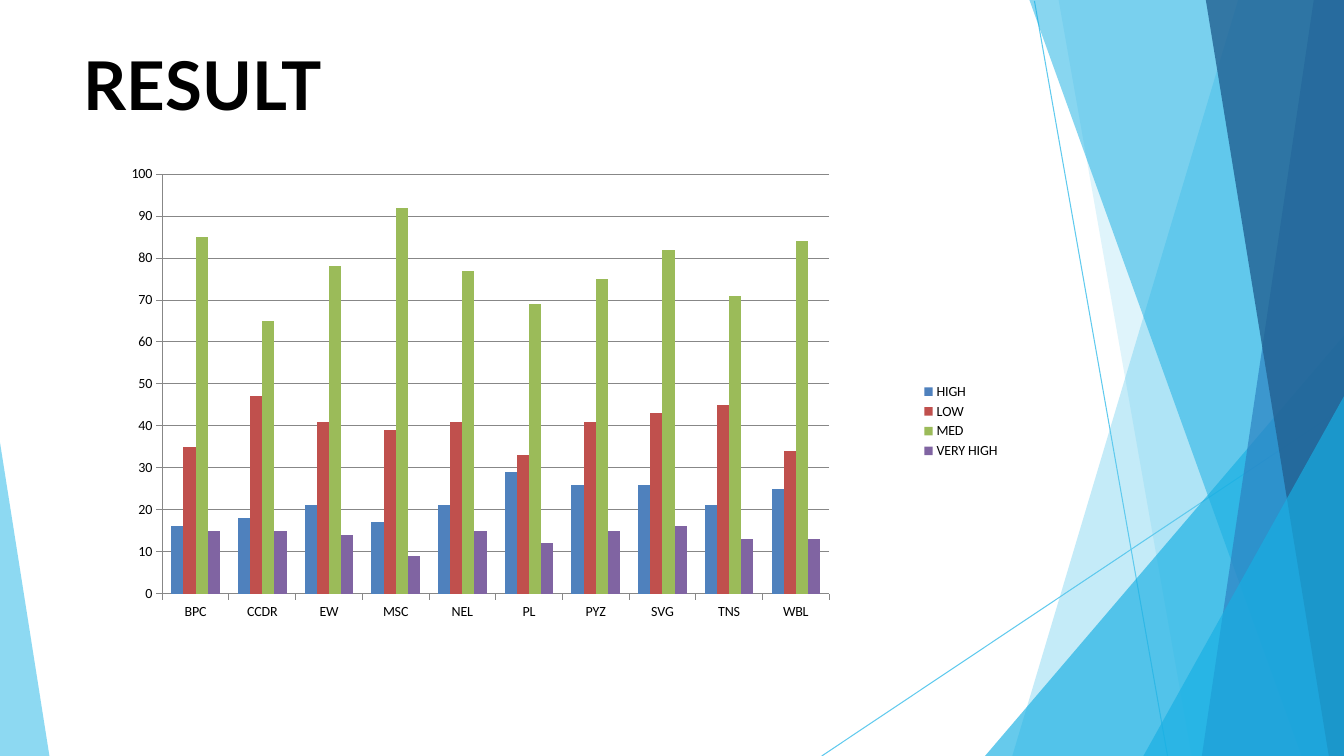
from dataclasses import dataclass

from lxml.etree import SubElement
from pptx import Presentation
from pptx.chart.data import CategoryChartData
from pptx.dml.color import RGBColor
from pptx.enum.chart import XL_CHART_TYPE, XL_LEGEND_POSITION, XL_TICK_MARK
from pptx.enum.shapes import MSO_CONNECTOR
from pptx.enum.text import MSO_ANCHOR
from pptx.oxml import parse_xml
from pptx.oxml.ns import nsdecls, qn
from pptx.util import Emu, Pt

EMU_PER_PX = 9144  # 100 px to the inch
WIDTH, HEIGHT = 1333, 750
SKY, CYAN, BLUE, NAVY = "5FCAEE", "17AFE3", "2D83C3", "226192"
AXIS_GREY = "878787"


@dataclass(frozen=True)
class Ray:
    start: tuple[int, int]
    end: tuple[int, int]


@dataclass(frozen=True)
class Facet:
    points: tuple[tuple[int, int], ...]
    fill: str
    opacity: int


@dataclass(frozen=True)
class Series:
    name: str
    values: tuple[int, ...]
    fill: str


def right_facet(top: int, bottom: int, fill: str, opacity: int) -> Facet:
    """Full-height facet on the right edge, slanting from top x to bottom x."""
    return Facet(((WIDTH, 0), (top, 0), (bottom, HEIGHT), (WIDTH, HEIGHT)), fill, opacity)


def right_corner(top: int, left: int, opacity: int) -> Facet:
    """Triangle in the lower right corner."""
    return Facet(((WIDTH, top), (left, HEIGHT), (WIDTH, HEIGHT)), CYAN, opacity)


RAYS = (
    Ray((1026, 1), (1158, HEIGHT)),
    Ray((WIDTH, 404), (815, HEIGHT)),
)
FACETS = (
    right_facet(1228, 1004, SKY, 37),
    right_facet(1050, 1182, SKY, 20),
    right_corner(333, 977, 66),
    right_facet(1021, 1291, CYAN, 51),
    right_facet(1303, 1192, BLUE, 71),
    right_facet(1196, 1318, NAVY, 80),
    right_corner(393, 1134, 66),
    Facet(((0, 439), (0, HEIGHT), (49, HEIGHT)), SKY, 71),
)
CATEGORIES = ("BPC", "CCDR", "EW", "MSC", "NEL", "PL", "PYZ", "SVG", "TNS", "WBL")
SERIES = (
    Series("HIGH", (16, 18, 21, 17, 21, 29, 26, 26, 21, 25), "4F81BD"),
    Series("LOW", (35, 47, 41, 39, 41, 33, 41, 43, 45, 34), "C0504D"),
    Series("MED", (85, 65, 78, 92, 77, 69, 75, 82, 71, 84), "9BBB59"),
    Series("VERY HIGH", (15, 15, 14, 9, 15, 12, 15, 16, 13, 13), "8064A2"),
)
PLOT_LAYOUT = {"x": 0.11, "y": 0.07, "w": 0.7, "h": 0.73}
LABEL_FONT = {"name": "Calibri", "size": Pt(10), "bold": False}
TITLE_FONT = {"name": "Lato", "size": Pt(48), "bold": True}


def px(length: int) -> Emu:
    return Emu(length * EMU_PER_PX)


def rgb(value: str) -> RGBColor:
    return RGBColor.from_string(value)


def set_attributes(target, values: dict) -> None:
    for name, value in values.items():
        setattr(target, name, value)


def style_font(font, values: dict) -> None:
    set_attributes(font, values)
    font.color.rgb = rgb("000000")


def style_line(line, color: str) -> None:
    line.color.rgb = rgb(color)
    line.width = Pt(0.75)


def draw_ray(page, ray: Ray) -> None:
    connector = page.shapes.add_connector(
        MSO_CONNECTOR.STRAIGHT, *map(px, ray.start + ray.end)
    )
    style_line(connector.line, SKY)
    SubElement(connector._element.spPr, qn("a:effectLst"))


def draw_facet(page, facet: Facet) -> None:
    builder = page.shapes.build_freeform(*facet.points[0], scale=EMU_PER_PX)
    builder.add_line_segments(facet.points[1:], close=True)
    shape = builder.convert_to_shape()
    shape.shadow.inherit = False
    shape.line.fill.background()
    shape.fill.solid()
    shape.fill.fore_color.rgb = rgb(facet.fill)
    color = shape._element.spPr.find(f".//{qn('a:srgbClr')}")
    SubElement(color, qn("a:alpha"), val=str(facet.opacity * 1000))


def draw_title(page) -> None:
    box = page.shapes.add_textbox(px(83), px(42), px(1168), px(83))
    margins = {f"margin_{side}": 0 for side in ("left", "top", "right", "bottom")}
    set_attributes(
        box.text_frame,
        {**margins, "word_wrap": True, "vertical_anchor": MSO_ANCHOR.MIDDLE},
    )
    span = box.text_frame.paragraphs[0].add_run()
    span.text = "RESULT"
    style_font(span.font, TITLE_FONT)


def place_plot(chart) -> None:
    """Fix the inner plot rectangle and give it a white ground."""
    area = chart._chartSpace.chart.plotArea
    for layout in area.findall(qn("c:layout")):
        area.remove(layout)
    modes = "".join(f'<c:{side}Mode val="edge"/>' for side in "xy")
    sizes = "".join(f'<c:{side} val="{value}"/>' for side, value in PLOT_LAYOUT.items())
    area.insert(0, parse_xml(
        f'<c:layout {nsdecls("c")}><c:manualLayout><c:layoutTarget val="inner"/>'
        f"{modes}{sizes}</c:manualLayout></c:layout>"
    ))
    area.append(parse_xml(
        f'<c:spPr {nsdecls("c", "a")}><a:solidFill><a:srgbClr val="FFFFFF"/>'
        "</a:solidFill></c:spPr>"
    ))


def draw_chart(page) -> None:
    data = CategoryChartData()
    data.categories = CATEGORIES
    for series in SERIES:
        data.add_series(series.name, series.values)
    chart = page.shapes.add_chart(
        XL_CHART_TYPE.COLUMN_CLUSTERED, px(57), px(133), px(945), px(570), data
    ).chart
    set_attributes(chart, {"has_title": False, "has_legend": True})
    style_font(chart.font, {**LABEL_FONT, "name": "Arial"})
    set_attributes(
        chart.legend,
        {"position": XL_LEGEND_POSITION.RIGHT, "include_in_layout": False},
    )
    style_font(chart.legend.font, LABEL_FONT)

    plot = chart.plots[0]
    set_attributes(plot, {"gap_width": 150, "overlap": 0, "vary_by_categories": False})
    for drawn, series in zip(plot.series, SERIES):
        drawn.format.fill.solid()
        drawn.format.fill.fore_color.rgb = rgb(series.fill)

    for axis in (chart.category_axis, chart.value_axis):
        axis.major_tick_mark = XL_TICK_MARK.OUTSIDE
        style_font(axis.tick_labels.font, LABEL_FONT)
        style_line(axis.format.line, AXIS_GREY)
    set_attributes(
        chart.value_axis,
        {"minimum_scale": 0, "maximum_scale": 100, "major_unit": 10},
    )
    style_line(chart.value_axis.major_gridlines.format.line, AXIS_GREY)
    place_plot(chart)


def main() -> None:
    deck = Presentation()
    set_attributes(deck, {"slide_width": px(WIDTH), "slide_height": px(HEIGHT)})
    page = deck.slides.add_slide(deck.slide_layouts[6])
    for ray in RAYS:
        draw_ray(page, ray)
    for facet in FACETS:
        draw_facet(page, facet)
    draw_title(page)
    draw_chart(page)
    deck.save("out.pptx")


if __name__ == "__main__":
    main()
